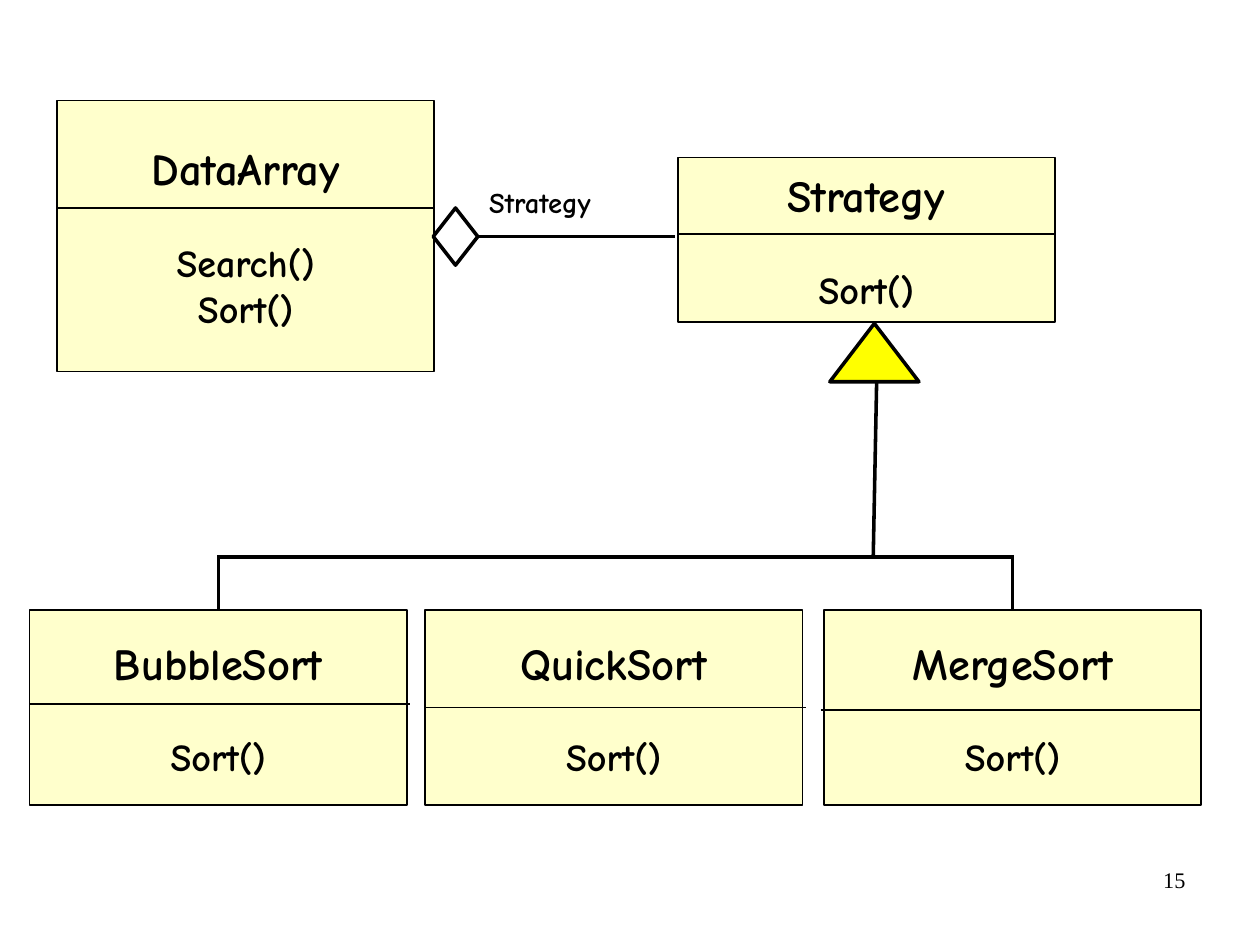
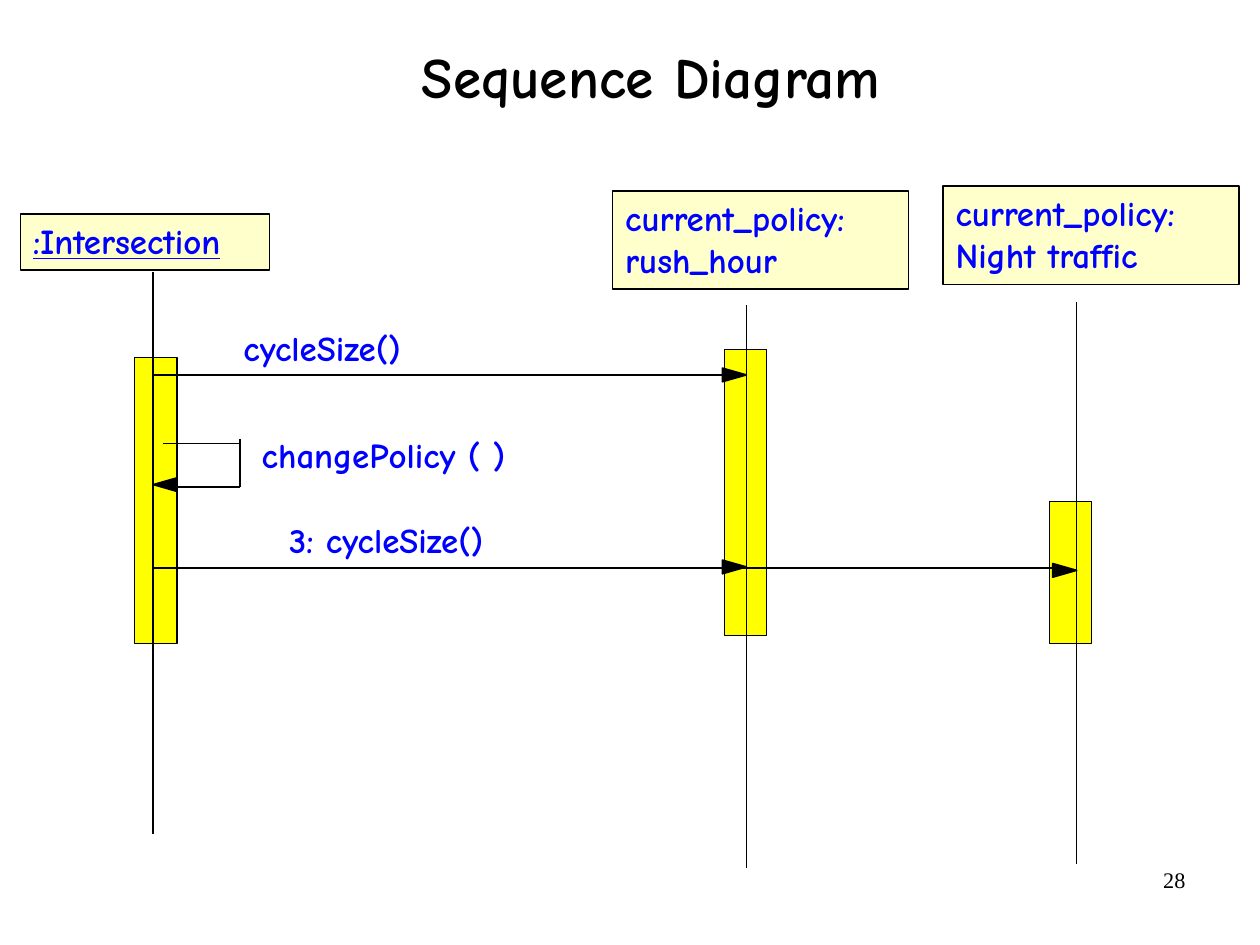
from dataclasses import dataclass

from lxml import etree
from pptx import Presentation
from pptx.dml.color import RGBColor
from pptx.enum.shapes import MSO_CONNECTOR, MSO_SHAPE
from pptx.enum.text import MSO_ANCHOR, PP_ALIGN
from pptx.oxml.ns import qn
from pptx.util import Cm, Inches, Pt

# Shared style
BLACK = RGBColor(0x00, 0x00, 0x00)
WHITE = RGBColor(0xFF, 0xFF, 0xFF)
BLUE = RGBColor(0x00, 0x00, 0xFF)
CREAM = RGBColor(0xFF, 0xFF, 0xCC)
YELLOW = RGBColor(0xFF, 0xFF, 0x00)
DIAGRAM_FONT = "Comic Neue"
NUMBER_FONT = "Times New Roman"
THIN, NORMAL, THICK = 0.75, 1, 2.25

RECTANGLE, TRIANGLE, DIAMOND = MSO_SHAPE.RECTANGLE, MSO_SHAPE.ISOSCELES_TRIANGLE, MSO_SHAPE.DIAMOND
STRAIGHT = MSO_CONNECTOR.STRAIGHT
LEFT, CENTER, RIGHT = PP_ALIGN.LEFT, PP_ALIGN.CENTER, PP_ALIGN.RIGHT
TOP, MIDDLE = MSO_ANCHOR.TOP, MSO_ANCHOR.MIDDLE
TOP_SITE = 0

# Positions are columns and rows of a tenth-inch grid
SLIDE_WIDTH, SLIDE_HEIGHT = Cm(28), Cm(21)
TITLE_ONLY, BLANK = 5, 6


@dataclass(frozen=True)
class Area:
    left: float
    top: float
    width: float
    height: float

    def lengths(self) -> list[int]:
        return [grid(value) for value in (self.left, self.top, self.width, self.height)]


@dataclass(frozen=True)
class ClassBox:
    name: str
    methods: tuple[str, ...]
    area: Area
    divider_left: float
    divider_row: float
    divider_length: float


@dataclass(frozen=True)
class Lifeline:
    label: tuple[str, ...]
    head: Area
    column: float
    start_row: float
    bar: Area
    underline: bool = False

    @property
    def end_row(self) -> float:
        return self.start_row + 49.2


@dataclass(frozen=True)
class Label:
    text: str
    area: Area


def grid(cells: float) -> int:
    return Inches(cells / 10)


def format_frame(frame, horizontal: float, vertical: float, anchor=TOP) -> None:
    frame.word_wrap = True
    frame.vertical_anchor = anchor
    frame.margin_left = frame.margin_right = Inches(horizontal)
    frame.margin_top = frame.margin_bottom = Inches(vertical)


def write_lines(frame, lines: tuple[str, ...], size: float, color=BLACK, alignment=LEFT,
                font=DIAGRAM_FONT, bold=True) -> list:
    frame.text = "\n".join(lines)
    for paragraph in frame.paragraphs:
        paragraph.alignment = alignment
        paragraph.font.name = font
        paragraph.font.size = Pt(size)
        paragraph.font.bold = bold
        paragraph.font.color.rgb = color
    return list(frame.paragraphs)


def paint(shape, fill: RGBColor, width: float) -> None:
    shape.shadow.inherit = False
    shape.fill.solid()
    shape.fill.fore_color.rgb = fill
    shape.line.color.rgb = BLACK
    shape.line.width = Pt(width)


def add_figure(slide, kind, area: Area, fill: RGBColor, width: float):
    shape = slide.shapes.add_shape(kind, *area.lengths())
    paint(shape, fill, width)
    return shape


def add_line(slide, left: float, top: float, right: float, bottom: float, width: float = NORMAL):
    connector = slide.shapes.add_connector(
        STRAIGHT, grid(left), grid(top), grid(right), grid(bottom))
    connector.line.color.rgb = BLACK
    connector.line.width = Pt(width)
    etree.SubElement(connector.element.spPr, qn("a:effectLst"))
    return connector


def add_label(slide, label: Label, size: float, color: RGBColor) -> None:
    frame = slide.shapes.add_textbox(*label.area.lengths()).text_frame
    format_frame(frame, 0.11, 0.05)
    write_lines(frame, (label.text,), size, color)


def add_arrowhead(slide, column: float, row: float, direction: int = 1) -> None:
    base = grid(column - direction * 2.1)
    builder = slide.shapes.build_freeform(grid(column), grid(row))
    builder.add_line_segments([(base, grid(row + 0.6)), (base, grid(row - 0.6))])
    paint(builder.convert_to_shape(), BLACK, NORMAL)


def add_slide(presentation, layout: int, number: int):
    slide = presentation.slides.add_slide(presentation.slide_layouts[layout])
    frame = slide.shapes.add_textbox(*Area(79, 75.3, 25.7, 5.7).lengths()).text_frame
    format_frame(frame, 0.1, 0.05)
    write_lines(frame, (str(number),), 14, alignment=RIGHT, font=NUMBER_FONT, bold=False)
    return slide


def add_class_box(slide, box: ClassBox):
    shape = add_figure(slide, RECTANGLE, box.area, CREAM, NORMAL)
    format_frame(shape.text_frame, 0.11, 0.05, MIDDLE)
    paragraphs = write_lines(shape.text_frame, (box.name, *box.methods), 24, alignment=CENTER)
    paragraphs[0].font.size = Pt(28)
    paragraphs[1].space_before = Pt(28)
    add_line(slide, box.divider_left, box.divider_row,
             box.divider_left + box.divider_length, box.divider_row)
    return shape


def add_lifeline(slide, lifeline: Lifeline) -> None:
    shape = add_figure(slide, RECTANGLE, lifeline.head, CREAM, NORMAL)
    format_frame(shape.text_frame, 0.11, 0.05)
    for paragraph in write_lines(shape.text_frame, lifeline.label, 22, BLUE):
        paragraph.font.underline = lifeline.underline
    add_figure(slide, RECTANGLE, lifeline.bar, YELLOW, THIN)
    add_line(slide, lifeline.column, lifeline.start_row, lifeline.column, lifeline.end_row)


def build_class_diagram(presentation) -> None:
    slide = add_slide(presentation, BLANK, 15)

    # Context and strategy
    add_class_box(slide, ClassBox("Strategy", ("Sort()",), Area(59.3, 13.8, 33, 14.4),
                                  59.4, 20.5, 32.8))
    add_class_box(slide, ClassBox("DataArray", ("Search()", "Sort()"), Area(5, 8.8, 33, 23.7),
                                  5.1, 18.2, 32.8))

    # Aggregation
    add_line(slide, 41.7, 20.7, 59.1, 20.7, THICK)
    add_label(slide, Label("Strategy", Area(41.7, 15.7, 13.1, 4.1)), 18, BLACK)
    add_figure(slide, DIAMOND, Area(37.9, 18.2, 3.9, 5), WHITE, THICK)

    # Concrete strategies
    box_top = 53.35
    sorts = [
        add_class_box(slide, ClassBox(name, ("Sort()",), Area(left, box_top, 33, 17.1),
                                      divider_left, divider_row, 33.3))
        for name, left, divider_left, divider_row in (
            ("BubbleSort", 2.6, 2.6, 61.6),
            ("QuickSort", 37.2, 37.2, 61.9),
            ("MergeSort", 72.1, 71.8, 62.1),
        )
    ]

    # Inheritance, with square ends that close the corners
    branch_row, first_column, last_column = 48.75, 19.1, 88.6
    add_figure(slide, TRIANGLE, Area(72.6, 28.3, 7.8, 5.1), YELLOW, THICK)
    add_line(slide, 76.7, 33.4, 76.4, branch_row, THICK)
    branch = add_line(slide, first_column, branch_row, last_column, branch_row, THICK)
    branch.element.spPr.find(qn("a:ln")).set("cap", "sq")
    for column, shape in ((first_column, sorts[0]), (last_column, sorts[-1])):
        drop = add_line(slide, column, box_top, column, branch_row, THICK)
        drop.begin_connect(shape, TOP_SITE)


def build_sequence_diagram(presentation) -> None:
    slide = add_slide(presentation, TITLE_ONLY, 28)

    # Title
    title = slide.shapes.title
    title.left, title.top, title.width, title.height = Area(10.1, 0, 93.7, 14).lengths()
    format_frame(title.text_frame, 0.11, 0.06, MIDDLE)
    write_lines(title.text_frame, ("Sequence Diagram",), 36,
                alignment=CENTER)[0].line_spacing = 0.88

    # Participants
    intersection = Lifeline((":Intersection",), Area(1.8, 18.7, 21.8, 4.9), 13.4, 23.8,
                            Area(11.8, 31.3, 3.7, 25), underline=True)
    rush_hour = Lifeline(("current_policy:", "rush_hour"), Area(53.6, 16.7, 25.9, 8.6),
                         65.3, 26.7, Area(63.4, 30.6, 3.7, 25))
    night = Lifeline(("current_policy:", "Night traffic"), Area(82.5, 16.3, 25.9, 8.6),
                     94.2, 26.4, Area(91.8, 43.9, 3.7, 12.4))
    for lifeline in (intersection, rush_hour, night):
        add_lifeline(slide, lifeline)

    # Messages between participants
    for target, row, tips in (
        (rush_hour.column, 32.8, ((rush_hour.column, 32.8),)),
        (92.6, 49.7, ((rush_hour.column, 49.6), (night.column, 49.9))),
    ):
        add_line(slide, intersection.column, row, target, row)
        for column, tip_row in tips:
            add_arrowhead(slide, column, tip_row)

    # Message to itself
    loop_column = 21
    add_line(slide, loop_column, 38.8, 14.3, 38.8, THIN)
    add_line(slide, loop_column, 38.4, loop_column, 42.6, THIN)
    add_line(slide, loop_column, 42.6, 15.1, 42.6)
    add_arrowhead(slide, intersection.column, 42.4, -1)

    # Message labels
    for label in (
        Label("cycleSize()", Area(20.2, 28.1, 18.3, 4.8)),
        Label("changePolicy ( )", Area(21.8, 37.4, 25.2, 4.8)),
        Label("3: cycleSize()", Area(24.2, 44.9, 22.8, 4.8)),
    ):
        add_label(slide, label, 22, BLUE)


def main() -> None:
    presentation = Presentation()
    presentation.slide_width = SLIDE_WIDTH
    presentation.slide_height = SLIDE_HEIGHT
    build_class_diagram(presentation)
    build_sequence_diagram(presentation)
    presentation.save("out.pptx")


if __name__ == "__main__":
    main()
